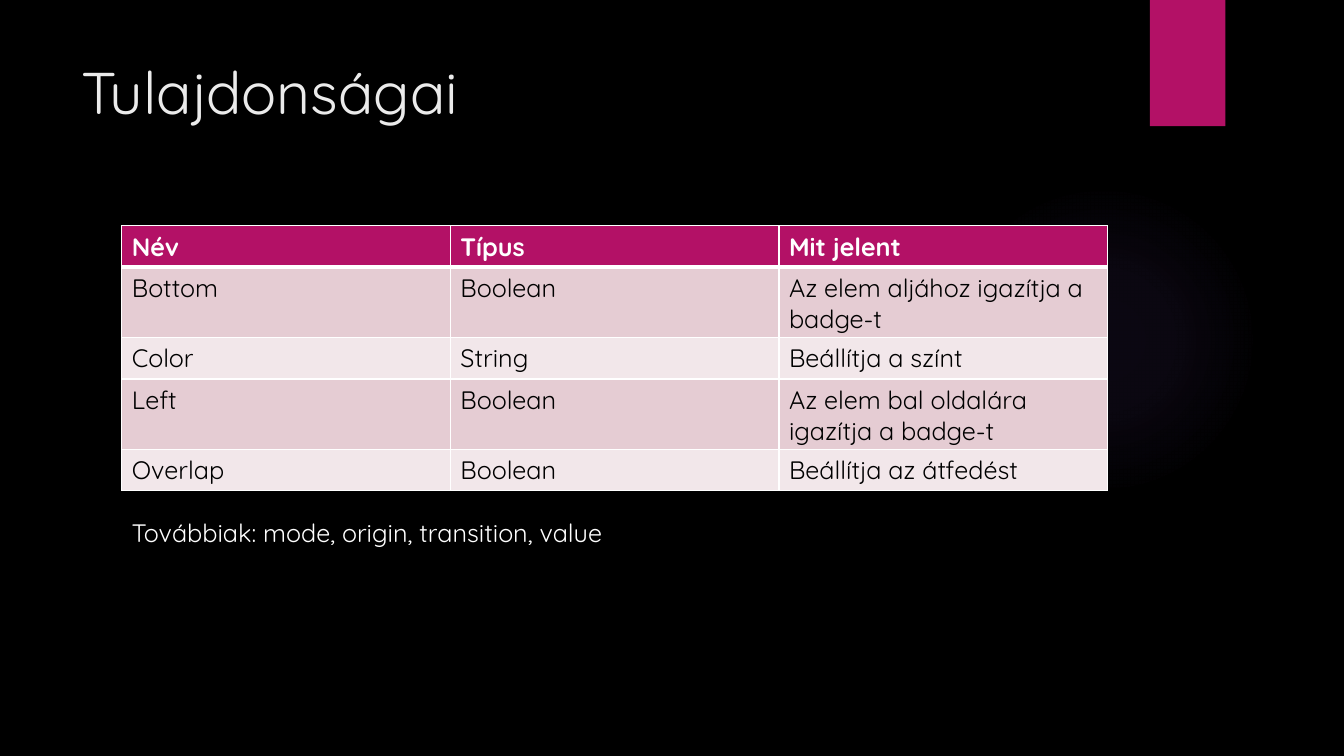
from pptx import Presentation
from pptx.dml.color import RGBColor
from pptx.enum.shapes import MSO_SHAPE
from pptx.oxml import parse_xml
from pptx.oxml.ns import nsdecls, qn
from pptx.util import Cm, Pt

FONT = "Quicksand"
BLACK, WHITE, MAGENTA, GLOW = "000000", "FFFFFF", "B31166", "9B6BF2"
BANDS = ["E5CCD3", "F2E7EA"]
TITLE = "Tulajdonságai"
FOOTNOTE = "Továbbiak: mode, origin, transition, value"
PROPERTIES = [
    ("Név", "Típus", "Mit jelent"),
    ("Bottom", "Boolean", "Az elem aljához igazítja a badge-t"),
    ("Color", "String", "Beállítja a színt"),
    ("Left", "Boolean", "Az elem bal oldalára igazítja a badge-t"),
    ("Overlap", "Boolean", "Beállítja az átfedést"),
]
GLOW_STOPS = [(0, 7), (36, 6), (69, 0)]
TABLE_LEFT, TABLE_TOP = 3.07, 5.69
COLUMN_WIDTH, ROW_HEIGHT = 8.28, 1.04


def color(value):
    return RGBColor.from_string(value)


def write(frame, text, size=18, fill=WHITE, bold=False):
    frame.word_wrap = True
    span = frame.paragraphs[0].add_run()
    span.text = text
    span.font.name = FONT
    span.font.size = Pt(size)
    span.font.bold = bold
    span.font.color.rgb = color(fill)


def add_text(page, left, top, width, height, text, **style):
    box = page.shapes.add_textbox(Cm(left), Cm(top), Cm(width), Cm(height))
    write(box.text_frame, text, **style)


def add_decoration(page, kind, left, top, width, height):
    shape = page.shapes.add_shape(kind, Cm(left), Cm(top), Cm(width), Cm(height))
    shape.shadow.inherit = False
    shape.line.fill.background()
    shape.fill.solid()
    shape.fill.fore_color.rgb = color(MAGENTA)
    return shape


def fade(shape):
    stops = "".join(
        f'<a:gs pos="{position * 1000}"><a:srgbClr val="{GLOW}">'
        f'<a:alpha val="{opacity * 1000}"/></a:srgbClr></a:gs>'
        for position, opacity in GLOW_STOPS
    )
    gradient = parse_xml(
        f'<a:gradFill {nsdecls("a")} rotWithShape="1"><a:gsLst>{stops}</a:gsLst>'
        '<a:path path="circle"><a:fillToRect l="50000" t="50000" r="50000" b="50000"/>'
        "</a:path></a:gradFill>"
    )
    properties = shape.element.spPr
    properties.replace(properties.find(qn("a:solidFill")), gradient)


def set_borders(cell, **widths):
    properties = cell._tc.get_or_add_tcPr()
    for side in "LRTB":
        properties.append(parse_xml(
            f'<a:ln{side} {nsdecls("a")} w="{Pt(widths.get(side, 1))}">'
            f'<a:solidFill><a:srgbClr val="{WHITE}"/></a:solidFill></a:ln{side}>'
        ))


def add_properties(page):
    rows, columns = len(PROPERTIES), len(PROPERTIES[0])
    table = page.shapes.add_table(
        rows, columns, Cm(TABLE_LEFT), Cm(TABLE_TOP),
        Cm(columns * COLUMN_WIDTH), Cm(rows * ROW_HEIGHT),
    ).table
    for column in table.columns:
        column.width = Cm(COLUMN_WIDTH)
    for number, values in enumerate(PROPERTIES):
        header = number == 0
        table.rows[number].height = Cm(ROW_HEIGHT)
        for index, value in enumerate(values):
            cell = table.cell(number, index)
            write(cell.text_frame, value, fill=WHITE if header else BLACK, bold=header)
            set_borders(cell, T=3 if number == 1 else 1, B=3 if header else 1)
            cell.fill.solid()
            cell.fill.fore_color.rgb = color(MAGENTA if header else BANDS[(number - 1) % 2])


def main():
    deck = Presentation()
    deck.slide_width, deck.slide_height = Cm(33.87), Cm(19.05)
    page = deck.slides.add_slide(deck.slide_layouts[6])
    page.background.fill.solid()
    page.background.fill.fore_color.rgb = color(BLACK)
    fade(add_decoration(page, MSO_SHAPE.OVAL, 23.9, 4.65, 7.82, 7.82))
    add_decoration(page, MSO_SHAPE.RECTANGLE, 28.98, 0, 1.9, 3.18)
    add_text(page, 1.8, 1.27, 26.14, 3.89, TITLE, size=42, fill="EBEBEB")
    add_properties(page)
    add_text(page, TABLE_LEFT, 12.9, 14.88, 1.02, FOOTNOTE)
    deck.save("out.pptx")


if __name__ == "__main__":
    main()
